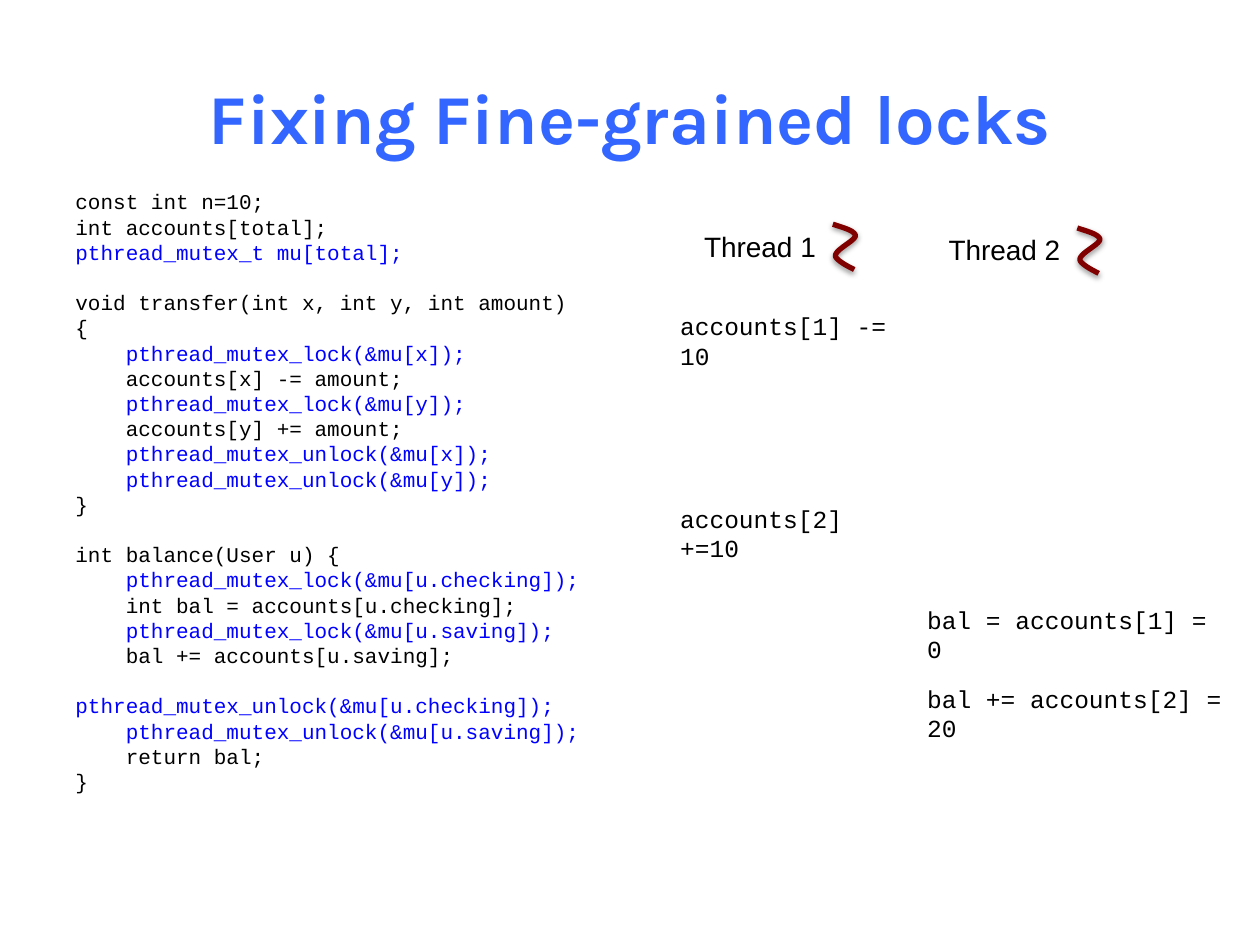
"""Build a slide on fixing fine-grained locks in a two-thread bank example."""
from lxml.etree import SubElement
from pptx import Presentation
from pptx.dml.color import RGBColor
from pptx.enum.text import MSO_ANCHOR, PP_ALIGN
from pptx.oxml.ns import qn
from pptx.util import Inches, Pt

BLACK = RGBColor(0x00, 0x00, 0x00)
BLUE = RGBColor(0x00, 0x00, 0xFF)
AZURE = RGBColor(0x33, 0x66, 0xFF)
MAROON = RGBColor(0x80, 0x00, 0x00)
MONO = "Courier New"

CODE = [
    """const int n=10;
int accounts[total];
pthread_mutex_t mu[total];""",
    """void transfer(int x, int y, int amount) {
    pthread_mutex_lock(&mu[x]);
    accounts[x] -= amount;
    pthread_mutex_lock(&mu[y]);
    accounts[y] += amount;
    pthread_mutex_unlock(&mu[x]);
    pthread_mutex_unlock(&mu[y]);
}""",
    """int balance(User u) {
    pthread_mutex_lock(&mu[u.checking]);
    int bal = accounts[u.checking];
    pthread_mutex_lock(&mu[u.saving]);
    bal += accounts[u.saving];
    pthread_mutex_unlock(&mu[u.checking]);
    pthread_mutex_unlock(&mu[u.saving]);
    return bal;
}""",
]
THREADS = [("Thread 1", 5.49, 1.77), ("Thread 2", 7.43, 1.8)]
STEPS = [
    ("accounts[1] -= 10", 5.3, 2.42, 2.04),
    ("accounts[2] +=10", 5.3, 3.95, 1.93),
    ("bal = accounts[1] = 0", 7.26, 4.75, 2.47),
    ("bal += accounts[2] = 20", 7.26, 5.38, 2.68),
]
CURVES = [
    [(0, 0), (0.09, 0.03), (0.17, 0.05), (0.18, 0.09)],
    [(0.18, 0.09), (0.18, 0.13), (0.02, 0.2), (0.02, 0.25)],
    [(0.02, 0.25), (0.02, 0.29), (0.17, 0.36), (0.17, 0.36)],
]


def add_box(slide, left, top, width, height, wrap=True):
    """Add an empty text box and return its text frame."""
    box = slide.shapes.add_textbox(*map(Inches, (left, top, width, height)))
    box.text_frame.word_wrap = wrap
    return box.text_frame


def add_run(para, text, face, size, color, bold=False):
    """Add one styled run to a paragraph."""
    run = para.add_run()
    run.text = text
    font = run.font
    font.name, font.size, font.bold = face, Pt(size), bold
    font.color.rgb = color


def add_title(slide, text):
    """Add the centred slide title."""
    frame = add_box(slide, 0.5, 0.3, 9, 1.25)
    frame.vertical_anchor = MSO_ANCHOR.MIDDLE
    para = frame.paragraphs[0]
    para.alignment = PP_ALIGN.CENTER
    add_run(para, text, "Karla", 40, AZURE, True)


def add_code(slide):
    """Add the listing, with lock lines in blue and a gap between blocks."""
    frame = add_box(slide, 0.5, 1.45, 4.25, 4.54)
    para = frame.paragraphs[0]
    for part, block in enumerate(CODE):
        for row, line in enumerate(block.split("\n")):
            if part or row:
                para = frame.add_paragraph()
            if part and not row:
                para.space_before = Pt(14.4)
            add_run(para, line, MONO, 12, BLUE if "pthread" in line else BLACK)


def trace(curve, count=10):
    """Return points along a cubic curve, leaving out its start."""
    points = []
    for step in range(1, count + 1):
        t = step / count
        parts = ((1 - t) ** 3, 3 * t * (1 - t) ** 2, 3 * t * t * (1 - t), t ** 3)
        points.append(tuple(sum(w * p[axis] for w, p in zip(parts, curve))
                            for axis in (0, 1)))
    return points


def add_shadow(shape):
    """Give a shape a soft shadow straight below it."""
    shape.shadow.inherit = False
    effects = shape.element.spPr.find(qn("a:effectLst"))
    shade = SubElement(effects, qn("a:outerShdw"), blurRad=str(Pt(3.1)),
                       dist=str(Pt(1.6)), dir="5400000", rotWithShape="0")
    color = SubElement(shade, qn("a:srgbClr"), val="000000")
    SubElement(color, qn("a:alpha"), val="38000")


def add_thread(slide, name, left, top):
    """Add a thread label and the squiggle beside it."""
    frame = add_box(slide, left, top, 1.1, 0.37, False)
    add_run(frame.paragraphs[0], name, "Arial", 16, BLACK)
    x, y = left + 1.12, top + 0.01
    pen = slide.shapes.build_freeform(Inches(x), Inches(y))
    points = [point for curve in CURVES for point in trace(curve)]
    pen.add_line_segments([(Inches(x + dx), Inches(y + dy)) for dx, dy in points],
                          close=False)
    wave = pen.convert_to_shape()
    wave.fill.background()
    wave.line.color.rgb = MAROON
    wave.line.width = Pt(3)
    add_shadow(wave)


def add_step(slide, text, left, top, width):
    """Add one executed statement under its thread."""
    frame = add_box(slide, left, top, width, 0.34)
    add_run(frame.paragraphs[0], text, MONO, 14, BLACK)


def main():
    """Build and save the slide."""
    deck = Presentation()
    deck.slide_width, deck.slide_height = Inches(10), Inches(7.5)
    slide = deck.slides.add_slide(deck.slide_layouts[6])
    add_title(slide, "Fixing Fine-grained locks")
    add_code(slide)
    for thread in THREADS:
        add_thread(slide, *thread)
    for step in STEPS:
        add_step(slide, *step)
    deck.save("out.pptx")


if __name__ == "__main__":
    main()
